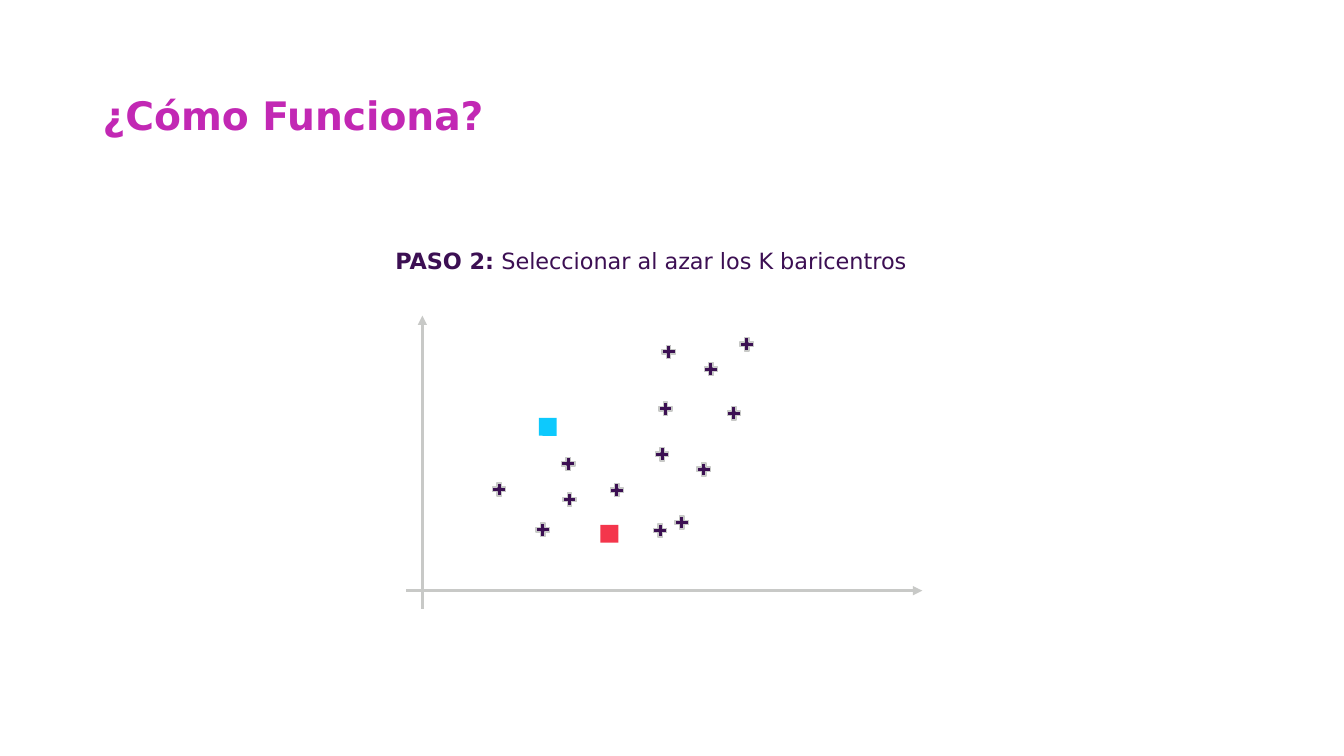
from lxml import etree
from pptx import Presentation
from pptx.dml.color import RGBColor
from pptx.enum.shapes import MSO_CONNECTOR, MSO_SHAPE
from pptx.enum.text import MSO_ANCHOR, MSO_AUTO_SIZE, PP_ALIGN
from pptx.oxml.ns import qn
from pptx.util import Pt

STRAIGHT = MSO_CONNECTOR.STRAIGHT
CROSS, DIAMOND = MSO_SHAPE.CROSS, MSO_SHAPE.DIAMOND
MIDDLE = MSO_ANCHOR.MIDDLE
FIT_SHAPE, FIT_NONE = MSO_AUTO_SIZE.SHAPE_TO_FIT_TEXT, MSO_AUTO_SIZE.NONE
LEFT, CENTER = PP_ALIGN.LEFT, PP_ALIGN.CENTER

MAGENTA = RGBColor(0xC2, 0x28, 0xB4)
PURPLE = RGBColor(0x3C, 0x0F, 0x53)
POINT_PURPLE = RGBColor(0x3C, 0x10, 0x53)
GREY = RGBColor(0xC8, 0xC9, 0xC7)
RED = RGBColor(0xF4, 0x36, 0x4C)
CYAN = RGBColor(0x0D, 0xC9, 0xFD)

FONT = "DejaVu Sans"
POINT_SIZE = 9.4
BARYCENTER_SIZE = 18

AXES = [
    (301.7, 434.9, 301.7, 225.4),
    (290.2, 421.9, 658.8, 421.9),
]
# Centres of the observations and of the K barycentres
OBSERVATIONS = [
    (524.2, 295.2), (356.6, 349.6), (387.7, 378.4), (406, 331.4),
    (475.4, 292), (507.8, 263.7), (473, 324.5), (487, 373.3),
    (406.8, 356.8), (533.4, 245.9), (440.6, 350.1), (471.6, 378.9),
    (502.7, 335.3), (477.6, 251.3),
]
BARYCENTERS = [(435.3, 381.2, RED), (391.3, 304.9, CYAN)]


def set_format(target, values):
    for name, value in values.items():
        setattr(target, name, value)


def add_run(paragraph, text, size, color, bold):
    run = paragraph.add_run()
    run.text = text
    set_format(run.font, {"name": FONT, "size": Pt(size), "bold": bold})
    run.font.color.rgb = color


def fill_title(slide, text):
    title = slide.shapes.title
    set_format(title, {"left": Pt(66.2), "top": Pt(51.1),
                       "width": Pt(828), "height": Pt(65.5)})
    set_format(title.text_frame, {"vertical_anchor": MIDDLE, "word_wrap": True,
                                  "auto_size": FIT_NONE})
    paragraph = title.text_frame.paragraphs[0]
    set_format(paragraph, {"alignment": LEFT, "line_spacing": 0.9})
    add_run(paragraph, text, 28, MAGENTA, True)


def add_step(slide, label, description):
    box = slide.shapes.add_textbox(Pt(108), Pt(172.8), Pt(714.2), Pt(26.6))
    inset = Pt(3.6)
    set_format(box.text_frame, {
        "word_wrap": True, "auto_size": FIT_SHAPE,
        "margin_left": inset, "margin_right": inset,
        "margin_top": inset, "margin_bottom": inset,
    })
    paragraph = box.text_frame.paragraphs[0]
    paragraph.alignment = CENTER
    add_run(paragraph, label, 16, PURPLE, True)
    add_run(paragraph, description, 16, PURPLE, False)


def add_axis(slide, ends):
    axis = slide.shapes.add_connector(STRAIGHT, *(Pt(end) for end in ends))
    axis.line.color.rgb = GREY
    axis.line.width = Pt(2.25)
    properties = axis.line._get_or_add_ln()
    etree.SubElement(properties, qn("a:tailEnd"), type="triangle")
    etree.SubElement(properties.getparent(), qn("a:effectLst"))


def add_marker(slide, preset, center_x, center_y, size, color):
    marker = slide.shapes.add_shape(
        preset, Pt(center_x - size / 2), Pt(center_y - size / 2), Pt(size), Pt(size))
    marker.shadow.inherit = False
    marker.fill.solid()
    marker.fill.fore_color.rgb = color
    marker.line.fill.background()
    return marker


def add_observation(slide, x, y):
    cross = add_marker(slide, CROSS, x, y, POINT_SIZE, POINT_PURPLE)
    cross.adjustments[0] = 1 / 3
    cross.line.color.rgb = GREY
    cross.line.width = Pt(1)


def add_barycenter(slide, x, y, color):
    add_marker(slide, DIAMOND, x, y, BARYCENTER_SIZE, color).rotation = 315


def main():
    deck = Presentation()
    set_format(deck, {"slide_width": Pt(960), "slide_height": Pt(540)})
    slide = deck.slides.add_slide(deck.slide_layouts.get_by_name("Title Only"))
    fill_title(slide, "¿Cómo Funciona?")
    for ends in AXES:
        add_axis(slide, ends)
    for x, y in OBSERVATIONS:
        add_observation(slide, x, y)
    for x, y, color in BARYCENTERS:
        add_barycenter(slide, x, y, color)
    add_step(slide, "PASO 2:", " Seleccionar al azar los K baricentros")
    deck.save("out.pptx")


if __name__ == "__main__":
    main()
